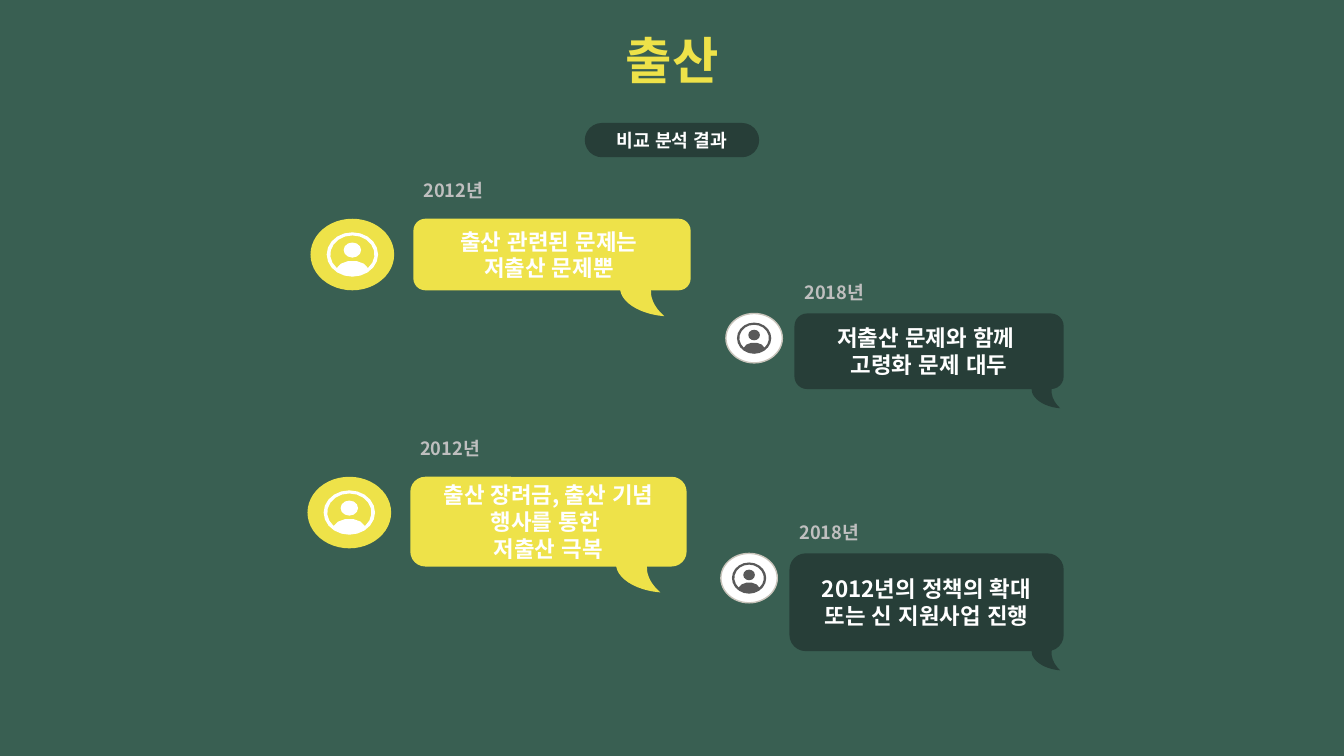
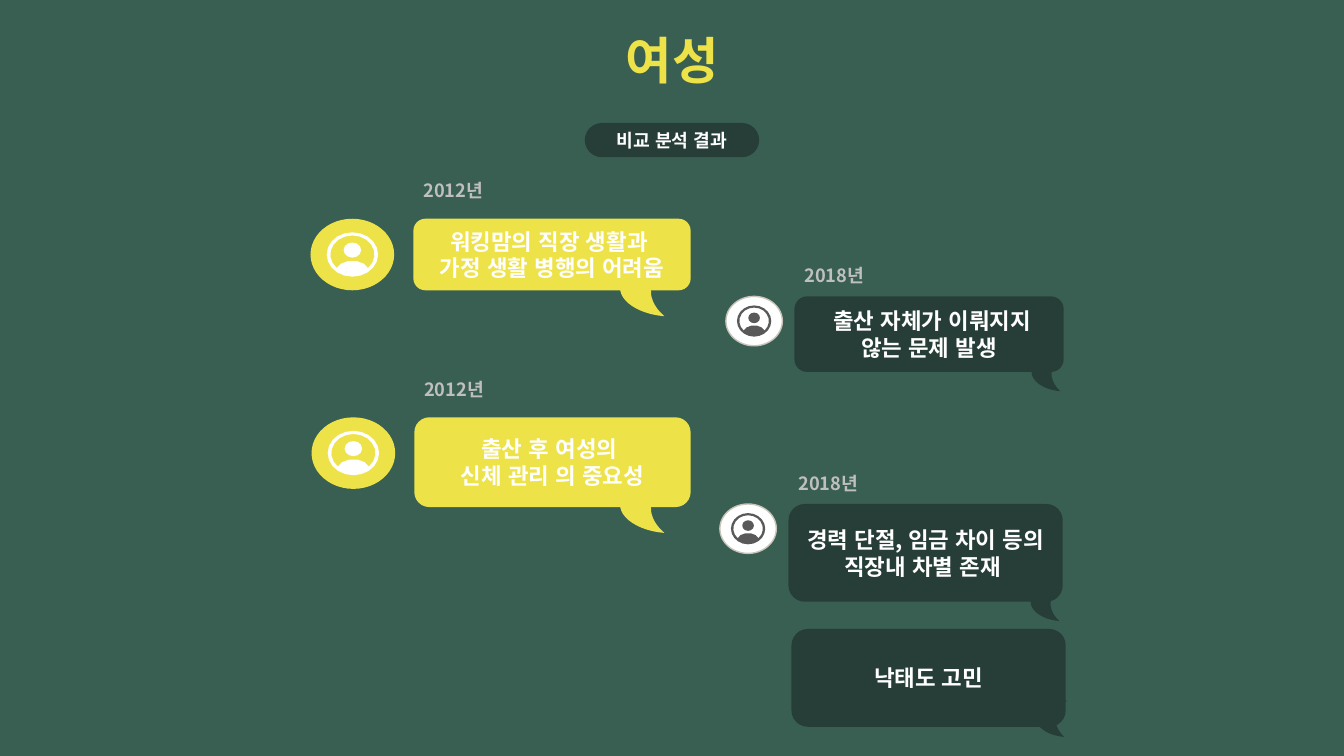
from math import cos, radians, sin

from pptx import Presentation
from pptx.dml.color import RGBColor
from pptx.enum.lang import MSO_LANGUAGE_ID as LANG
from pptx.enum.shapes import MSO_SHAPE as SHAPE
from pptx.enum.text import MSO_ANCHOR as ANCHOR, PP_ALIGN as ALIGN
from pptx.oxml.ns import qn
from pptx.util import Inches, Pt

# Shared look
FONT = "Noto Sans CJK KR"
GREEN = RGBColor(0x39, 0x5F, 0x52)
DARK = RGBColor(0x27, 0x3E, 0x38)
YELLOW = RGBColor(0xEE, 0xE2, 0x49)
WHITE = RGBColor(0xFF, 0xFF, 0xFF)
LIGHT = RGBColor(0xBF, 0xBF, 0xBF)
GRAY = RGBColor(0x59, 0x59, 0x59)
RIM = RGBColor(0xC9, 0xC4, 0xBB)
WIDTH, HEIGHT = 13.33, 7.5
SUBTITLE = "비교 분석 결과"

# Speakers: sizes are (width, height); the tail shift is from the bubble's
# lower right corner, the avatar and label shifts from its upper left corner
PAST = dict(label="2012년", fill=YELLOW, avatar_fill=YELLOW, rim=None,
            icon_fill=WHITE, avatar=(0.83, 0.71), avatar_dx=-1.02,
            icon=(0.51, 0.44), tail=(0.46, 0.51), tail_shift=(-0.7, -0.27),
            label_dy=-0.44, label_width=2.19)
NOW = dict(label="2018년", fill=DARK, avatar_fill=WHITE, rim=RIM,
           icon_fill=GRAY, avatar=(0.56, 0.49), avatar_dx=-0.68,
           icon=(0.34, 0.31), tail=(0.3, 0.36), tail_shift=(-0.32, -0.18),
           label_dy=-0.37, label_width=1.45)
NOW_MORE = dict(NOW, label=None, tail_shift=(-0.3, -0.27))

# Content: title, then (speaker, bubble box, text)
SLIDES = [
    ("출산", [
        (PAST, (4.1, 2.17, 2.75, 0.71), "출산 관련된 문제는 \n저출산 문제뿐 "),
        (NOW, (7.88, 3.11, 2.67, 0.75), "저출산 문제와 함께 \n고령화 문제 대두"),
        (PAST, (4.07, 4.73, 2.74, 0.89),
         "출산 장려금, 출산 기념 행사를 통한 \n저출산 극복"),
        (NOW, (7.83, 5.49, 2.72, 0.97),
         "2012년의 정책의 확대 또는 신 지원사업 진행"),
    ]),
    ("여성", [
        (PAST, (4.1, 2.17, 2.75, 0.71),
         "워킹맘의 직장 생활과 \n가정 생활 병행의 어려움"),
        (NOW, (7.88, 2.94, 2.67, 0.75), " 출산 자체가 이뤄지지 않는 문제 발생"),
        (PAST, (4.11, 4.14, 2.74, 0.89), "출산 후 여성의 \n신체 관리 의 중요성"),
        (NOW, (7.82, 5, 2.72, 0.97),
         "경력 단절, 임금 차이 등의 직장내 차별 존재 "),
        (NOW_MORE, (7.85, 6.24, 2.72, 0.97), "낙태도 고민"),
    ]),
]


def write(shape, text, size, color, align=ALIGN.CENTER):
    tf = shape.text_frame
    tf.text = text
    tf.word_wrap = True
    tf.vertical_anchor = ANCHOR.MIDDLE
    for p in tf.paragraphs:
        p.alignment = align
        for r in p.runs:
            r.font.name, r.font.size, r.font.bold = FONT, Pt(size), True
            r.font.color.rgb = color
            r.font.language_id = LANG.KOREAN
            # East Asian font, no pair kerning
            props = r._r.get_or_add_rPr()
            props.set("kern", "0")
            ea = props.makeelement(qn("a:ea"), {"typeface": FONT})
            props.find(qn("a:latin")).addnext(ea)


def paint(shape, fill, rim=None):
    shape.shadow.inherit = False
    shape.fill.solid()
    shape.fill.fore_color.rgb = fill
    if rim is None:
        shape.line.fill.background()
    else:
        shape.line.color.rgb = rim
        shape.line.width = Pt(1)


def add_preset(shapes, kind, box, fill, rim=None):
    sp = shapes.add_shape(kind, *map(Inches, box))
    paint(sp, fill, rim)
    return sp


def arc(cy, rx, ry, start, end, steps):
    """Points of an arc centred at (0.5, cy) in a unit square."""
    angles = [radians(start + (end - start) * i / steps) for i in range(steps + 1)]
    return [(0.5 + rx * cos(a), cy + ry * sin(a)) for a in angles]


# Ring, then the space around the shoulders, then the head
PERSON = [
    arc(0.5, 0.5, 0.5, 0, 360, 20)[:-1],
    arc(0.5, 0.43, 0.43, 45, -225, 14) + arc(0.88, 0.32, 0.24, 198, 342, 5),
    arc(0.4, 0.17, 0.17, 0, 360, 12)[:-1],
]


def add_person(shapes, left, top, size, fill):
    contours = [[(Inches(left + x * size[0]), Inches(top + y * size[1]))
                 for x, y in contour] for contour in PERSON]
    fb = shapes.build_freeform(*contours[0][0])
    for i, contour in enumerate(contours):
        if i:
            fb.move_to(*contour[0])
        fb.add_line_segments(contour[1:], close=True)
    paint(fb.convert_to_shape(), fill)


def add_message(s, who, box, text):
    x, y, w, h = box
    # Avatar with a centred icon, and the year above the bubble
    shapes = s.shapes
    if who["label"]:
        shapes = s.shapes.add_group_shape().shapes
        ax, (aw, ah), (iw, ih) = x + who["avatar_dx"], who["avatar"], who["icon"]
        add_preset(shapes, SHAPE.OVAL, (ax, y, aw, ah),
                   who["avatar_fill"], who["rim"])
        add_person(shapes, ax + (aw - iw) / 2, y + (ah - ih) / 2,
                   who["icon"], who["icon_fill"])
        year = shapes.add_textbox(*map(Inches, (
            x, y + who["label_dy"], who["label_width"], 0.32)))
        write(year, who["label"], 13, LIGHT, ALIGN.LEFT)
    # Tail behind the bubble
    dx, dy = who["tail_shift"]
    tail = add_preset(shapes, SHAPE.MOON, (x + w + dx, y + h + dy, *who["tail"]),
                      who["fill"])
    tail.adjustments[0] = 0.667
    tail.rotation = 4.4
    bubble = add_preset(shapes, SHAPE.ROUNDED_RECTANGLE, box, who["fill"])
    write(bubble, text, 16, WHITE)


def add_slide(prs, title, messages):
    s = prs.slides.add_slide(prs.slide_layouts[5])
    # Title and subtitle pill, both centred
    head = s.shapes.title
    head.left, head.top = Inches(WIDTH / 4), Inches(0.23)
    head.width, head.height = Inches(WIDTH / 2), Inches(0.71)
    write(head, title, 36, YELLOW)
    pill = add_preset(s.shapes, SHAPE.ROUNDED_RECTANGLE,
                      ((WIDTH - 1.73) / 2, 1.22, 1.73, 0.34), DARK)
    pill.adjustments[0] = 0.5
    write(pill, SUBTITLE, 13, WHITE)
    for message in messages:
        add_message(s, *message)


def main():
    prs = Presentation()
    prs.slide_width, prs.slide_height = Inches(WIDTH), Inches(HEIGHT)
    back = prs.slide_master.background.fill
    back.solid()
    back.fore_color.rgb = GREEN
    for title, messages in SLIDES:
        add_slide(prs, title, messages)
    prs.save("out.pptx")


if __name__ == "__main__":
    main()
